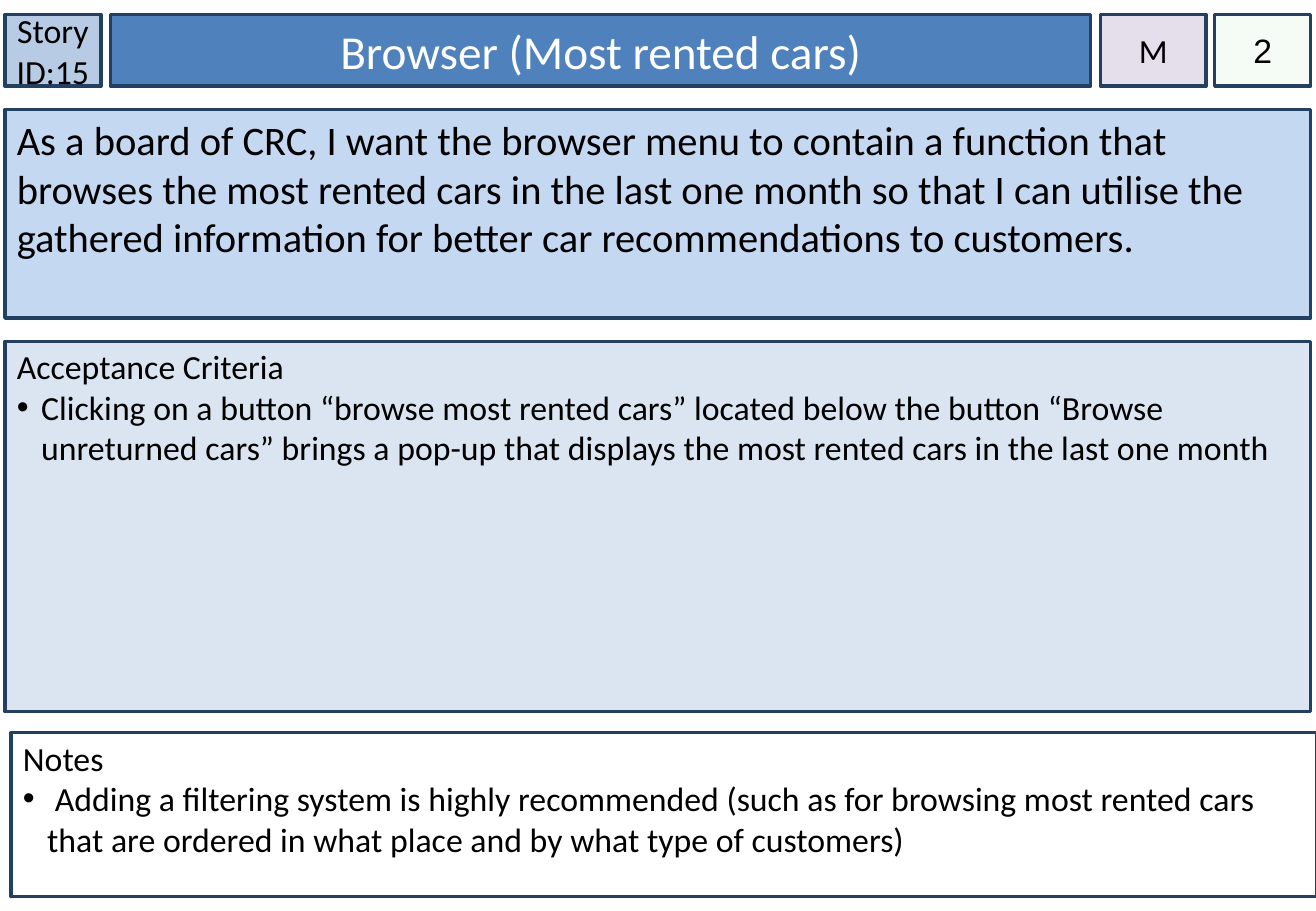
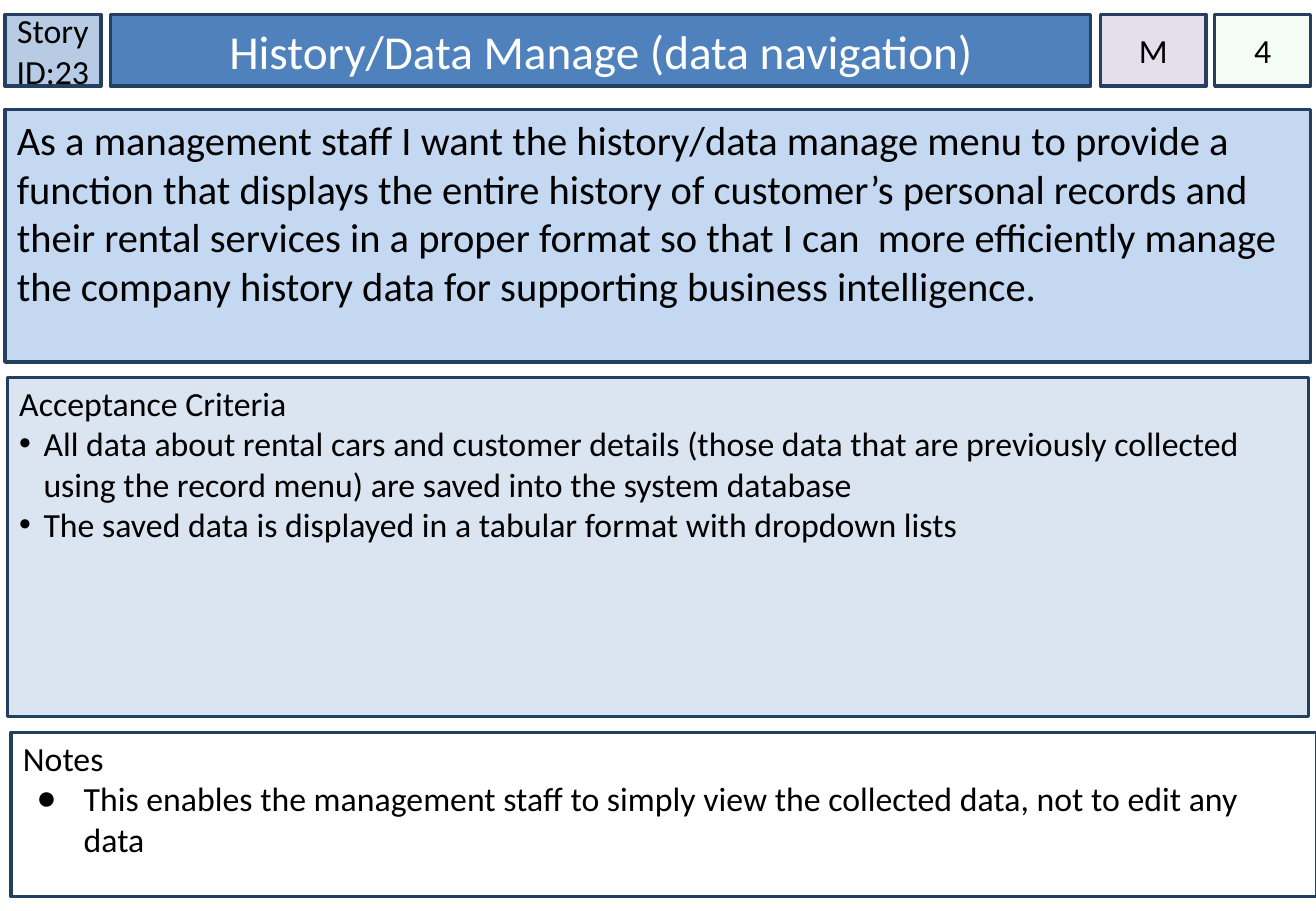
from dataclasses import dataclass
from typing import NamedTuple, Optional

from lxml.etree import SubElement
from pptx import Presentation
from pptx.dml.color import RGBColor
from pptx.enum.shapes import MSO_SHAPE
from pptx.enum.text import MSO_ANCHOR, MSO_AUTO_SIZE, PP_ALIGN
from pptx.oxml.ns import qn
from pptx.util import Pt


@dataclass(frozen=True)
class Theme:
    black: str = "000000"
    white: str = "FFFFFF"
    outline: str = "244061"
    story_id: str = "B7CCE4"
    title: str = "4F81BD"
    priority: str = "E5DFEC"
    estimate: str = "CCF0CD"
    story: str = "C5D8F1"
    criteria: str = "DAE5F1"
    font: str = "Calibri"
    bullet_font: str = "Arial"
    title_size: float = 28
    story_size: float = 24
    body_size: float = 20
    outline_width: float = 2


class Box(NamedTuple):
    left: float
    top: float
    width: float
    height: float


class Bullet(NamedTuple):
    symbol: str
    margin: float
    indent: float


@dataclass(frozen=True)
class StoryCard:
    number: int
    title: str
    priority: str
    estimate: str
    story: str
    criteria: tuple[str, ...]
    notes: tuple[str, ...]
    story_height: float
    criteria_box: Box
    estimate_font: str
    note_bullet: Bullet


THEME = Theme()
EDGE, HEADER_TOP, HEADER_HEIGHT = 2.9, 8.6, 42.5
STORY_TOP, PANEL_WIDTH = 64.8, 774
ID_BOX = Box(EDGE, HEADER_TOP, 56.9, HEADER_HEIGHT)
TITLE_BOX = Box(65.5, HEADER_TOP, 581, HEADER_HEIGHT)
PRIORITY_BOX = Box(652.3, HEADER_TOP, 62.6, HEADER_HEIGHT)
ESTIMATE_BOX = Box(720, HEADER_TOP, 56.9, HEADER_HEIGHT)
NOTES_BOX = Box(6.5, 434.2, PANEL_WIDTH, 97.2)
DOT = Bullet("•", 14.4, -14.4)
LARGE_DOT = Bullet("●", 36, -28.1)

CARDS = (
    StoryCard(
        number=15,
        title="Browser (Most rented cars)",
        priority="M",
        estimate="2",
        story="As a board of CRC, I want the browser menu to contain a function that browses "
        "the most rented cars in the last one month so that I can utilise the gathered "
        "information for better car recommendations to customers.",
        criteria=(
            "Clicking on a button “browse most rented cars” located below the button “Browse "
            "unreturned cars” brings a pop-up that displays the most rented cars in the last "
            "one month",
        ),
        notes=(
            " Adding a filtering system is highly recommended (such as for browsing most "
            "rented cars that are ordered in what place and by what type of customers)",
        ),
        story_height=123.8,
        criteria_box=Box(EDGE, 202.3, PANEL_WIDTH, 219.6),
        estimate_font="Arial",
        note_bullet=DOT,
    ),
    StoryCard(
        number=23,
        title="History/Data Manage (data navigation)",
        priority="M",
        estimate="4",
        story="As a management staff I want the history/data manage menu to provide a function "
        "that displays the entire history of customer’s personal records and their rental "
        "services in a proper format so that I can  more efficiently manage the company "
        "history data for supporting business intelligence.",
        criteria=(
            "All data about rental cars and customer details (those data that are previously "
            "collected using the record menu) are saved into the system database",
            "The saved data is displayed in a tabular format with dropdown lists",
        ),
        notes=(
            "This enables the management staff to simply view the collected data, not to edit "
            "any data",
        ),
        story_height=149.8,
        criteria_box=Box(4.3, 223.9, 771.1, 200.9),
        estimate_font=THEME.font,
        note_bullet=LARGE_DOT,
    ),
)


def add_bullet(paragraph, bullet: Bullet) -> None:
    properties = paragraph._p.get_or_add_pPr()
    properties.set("marL", str(Pt(bullet.margin)))
    properties.set("indent", str(Pt(bullet.indent)))
    color = SubElement(properties, qn("a:buClr"))
    SubElement(color, qn("a:srgbClr"), val=THEME.black)
    SubElement(properties, qn("a:buFont"), typeface=THEME.bullet_font)
    SubElement(properties, qn("a:buChar"), char=bullet.symbol)


def write_text(shape, text: str, *, size: float = THEME.body_size, color: str = THEME.black,
               font: str = THEME.font, align: PP_ALIGN = PP_ALIGN.LEFT,
               bullet: Optional[Bullet] = None) -> None:
    frame = shape.text_frame
    paragraph = frame.add_paragraph() if frame.text else frame.paragraphs[0]
    if bullet:
        add_bullet(paragraph, bullet)
    paragraph.alignment = align
    run = paragraph.add_run()
    run.text = text
    run.font.size = Pt(size)
    run.font.name = font
    run.font.color.rgb = RGBColor.from_string(color)


def format_box(shape, box: Box, fill: str, *, anchor: MSO_ANCHOR = MSO_ANCHOR.TOP,
               side: float = 7.2, top: float = 3.6) -> None:
    shape.left, shape.top, shape.width, shape.height = map(Pt, box)
    shape.fill.solid()
    shape.fill.fore_color.rgb = RGBColor.from_string(fill)
    shape.line.color.rgb = RGBColor.from_string(THEME.outline)
    shape.line.width = Pt(THEME.outline_width)
    frame = shape.text_frame
    frame.word_wrap = True
    frame.auto_size = MSO_AUTO_SIZE.NONE
    frame.vertical_anchor = anchor
    frame.margin_left = frame.margin_right = Pt(side)
    frame.margin_top, frame.margin_bottom = Pt(top), Pt(3.6)


def add_box(slide, box: Box, fill: str, **layout):
    shape = slide.shapes.add_shape(MSO_SHAPE.RECTANGLE, *map(Pt, box))
    shape.shadow.inherit = False
    format_box(shape, box, fill, **layout)
    return shape


def add_badge(slide, box: Box, fill: str, text: str, font: str = THEME.font):
    badge = add_box(slide, box, fill, anchor=MSO_ANCHOR.MIDDLE, side=0)
    write_text(badge, text, font=font, align=PP_ALIGN.CENTER)
    return badge


def set_opacity(shape, percent: int) -> None:
    color = shape._element.spPr.find(qn("a:solidFill")).find(qn("a:srgbClr"))
    SubElement(color, qn("a:alpha"), val=str(percent * 1000))


def add_list_panel(slide, box: Box, fill: str, heading: str, items: tuple[str, ...],
                   bullet: Bullet) -> None:
    panel = add_box(slide, box, fill, top=2.9)
    write_text(panel, heading)
    for item in items:
        write_text(panel, item, bullet=bullet)


def add_card(presentation, card: StoryCard) -> None:
    slide = presentation.slides.add_slide(presentation.slide_layouts[5])
    title = slide.shapes.title
    format_box(title, TITLE_BOX, THEME.title, anchor=MSO_ANCHOR.MIDDLE)
    write_text(title, card.title, size=THEME.title_size, color=THEME.white,
               align=PP_ALIGN.CENTER)
    add_badge(slide, ID_BOX, THEME.story_id, f"Story ID:{card.number}")
    story = add_box(slide, Box(EDGE, STORY_TOP, PANEL_WIDTH, card.story_height), THEME.story)
    write_text(story, card.story, size=THEME.story_size)
    add_list_panel(slide, card.criteria_box, THEME.criteria, "Acceptance Criteria",
                   card.criteria, DOT)
    estimate = add_badge(slide, ESTIMATE_BOX, THEME.estimate, card.estimate, card.estimate_font)
    set_opacity(estimate, 20)
    add_badge(slide, PRIORITY_BOX, THEME.priority, card.priority)
    add_list_panel(slide, NOTES_BOX, THEME.white, "Notes", card.notes, card.note_bullet)


def main() -> None:
    presentation = Presentation()
    presentation.slide_width, presentation.slide_height = Pt(780), Pt(540)
    for card in CARDS:
        add_card(presentation, card)
    presentation.save("out.pptx")


if __name__ == "__main__":
    main()
